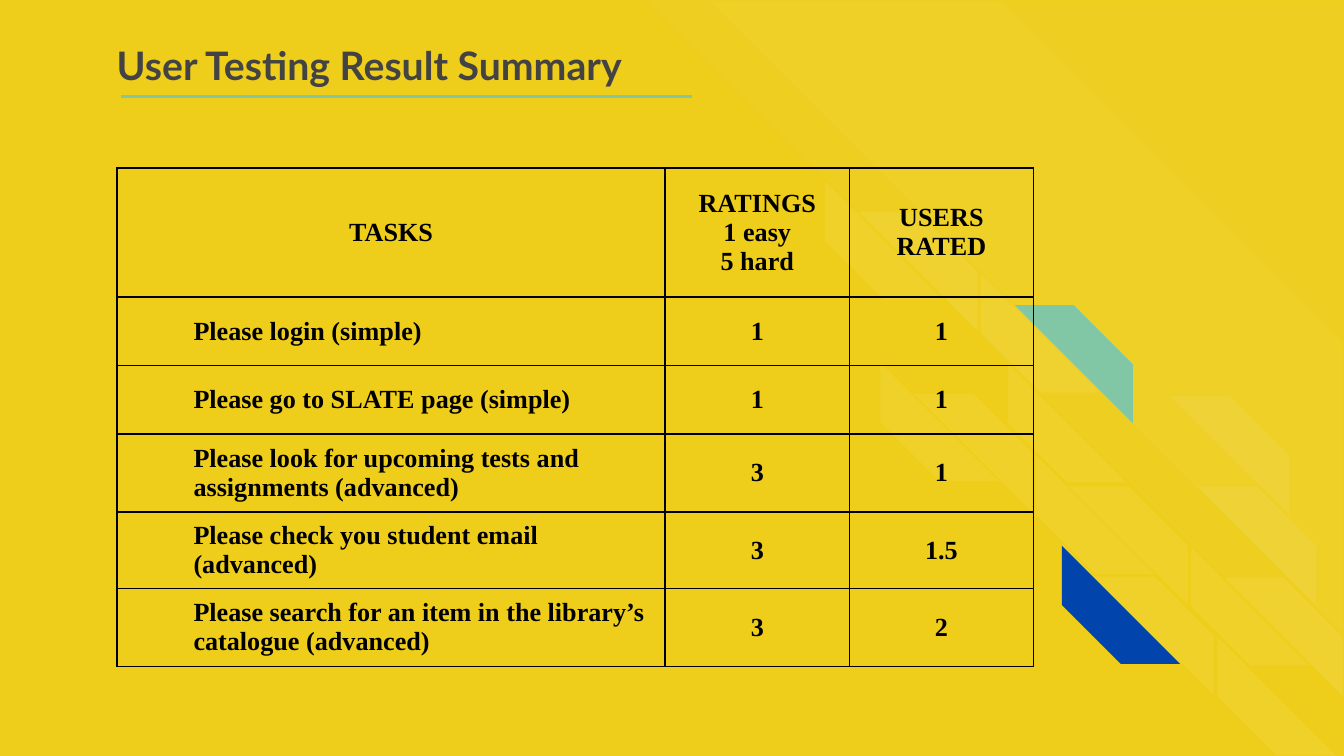
from dataclasses import dataclass

from pptx import Presentation
from pptx.dml.color import RGBColor
from pptx.enum.shapes import MSO_CONNECTOR, MSO_SHAPE
from pptx.enum.text import MSO_ANCHOR as Anchor, PP_ALIGN as Align
from pptx.oxml.ns import qn
from pptx.util import Inches, Pt
from lxml.etree import SubElement


@dataclass(frozen=True)
class Theme:
    background: str = "EECE1A"
    pale: str = "FFFFFF"
    teal: str = "82C7A5"
    blue: str = "0145AC"
    heading: str = "434343"
    ink: str = "000000"
    heading_font: str = "Lato"
    table_font: str = "Times New Roman"
    heading_size: int = 21
    table_size: int = 14


class SlideBuilder:
    def __init__(self, slide, theme):
        self.slide = slide
        self.theme = theme
        slide.background.fill.solid()
        slide.background.fill.fore_color.rgb = RGBColor.from_string(theme.background)

    def stripe(self, left, top, size, color, cut=0.5, rotation=0, flip=False, alpha=None):
        stripe = self.slide.shapes.add_shape(
            MSO_SHAPE.DIAGONAL_STRIPE, Inches(left), Inches(top), Inches(size), Inches(size))
        stripe.adjustments[0] = cut
        stripe.rotation = rotation
        stripe.shadow.inherit = False
        stripe.line.fill.background()
        stripe.fill.solid()
        stripe.fill.fore_color.rgb = RGBColor.from_string(color)
        if flip:
            stripe._element.spPr.find(qn("a:xfrm")).set("flipH", "1")
        if alpha is not None:
            tint = stripe._element.spPr.find(qn("a:solidFill"))[0]
            SubElement(tint, qn("a:alpha")).set("val", str(alpha * 1000))

    def run(self, paragraph, text, font, size, color):
        run = paragraph.add_run()
        run.text = text
        run.font.name = font
        run.font.size = Pt(size)
        run.font.bold = True
        run.font.color.rgb = RGBColor.from_string(color)

    def heading(self, text, left, top, width, height):
        frame = self.slide.shapes.add_textbox(
            Inches(left), Inches(top), Inches(width), Inches(height)).text_frame
        frame.word_wrap = True
        frame.vertical_anchor = Anchor.BOTTOM
        frame.margin_left = frame.margin_right = Inches(0.1)
        frame.margin_top = frame.margin_bottom = Inches(0.1)
        self.run(frame.paragraphs[0], text, self.theme.heading_font,
                 self.theme.heading_size, self.theme.heading)

    def rule(self, left, right, y):
        rule = self.slide.shapes.add_connector(
            MSO_CONNECTOR.STRAIGHT, Inches(left), Inches(y), Inches(right), Inches(y))
        rule.line.color.rgb = RGBColor.from_string(self.theme.teal)
        rule.line.width = Pt(1.5)
        SubElement(rule._element.spPr, qn("a:effectLst"))

    def borders(self, cell):
        properties = cell._tc.get_or_add_tcPr()
        for side in ("lnL", "lnR", "lnT", "lnB"):
            edge = SubElement(properties, qn(f"a:{side}"), w=str(Pt(1)))
            fill = SubElement(edge, qn("a:solidFill"))
            SubElement(fill, qn("a:srgbClr"), val=self.theme.ink)

    def cell(self, cell, text, indented):
        cell.vertical_anchor = Anchor.MIDDLE
        cell.margin_left = cell.margin_right = Inches(0.07)
        cell.margin_top = cell.margin_bottom = Inches(0.07)
        self.borders(cell)
        cell.fill.background()
        for index, line in enumerate(text.split("\n")):
            frame = cell.text_frame
            paragraph = frame.add_paragraph() if index else frame.paragraphs[0]
            if indented:
                paragraph._p.get_or_add_pPr().set("marL", str(Inches(0.5)))
            else:
                paragraph.alignment = Align.CENTER
            self.run(paragraph, line, self.theme.table_font,
                     self.theme.table_size, self.theme.ink)

    def table(self, rows, left, top, widths, heights):
        table = self.slide.shapes.add_table(
            len(rows), len(widths), Inches(left), Inches(top),
            Inches(sum(widths)), Inches(sum(heights))).table
        table.first_row = table.horz_banding = False
        for column, width in zip(table.columns, widths):
            column.width = Inches(width)
        for row, height in zip(table.rows, heights):
            row.height = Inches(height)
        for r, row in enumerate(rows):
            for c, text in enumerate(row):
                self.cell(table.cell(r, c), text, indented=r > 0 and c == 0)


THEME = Theme()

# Stripe pairs: left, top, colour of the upright half, colour of the flat half
STRIPE_SIZE = 0.88
FLAT_SHIFT = (0.25, 0.23)
STRIPE_PAIRS = [
    (6.14, 1.35, THEME.pale, THEME.pale),
    (6.55, 2.70, THEME.pale, THEME.pale),
    (7.30, 2.04, THEME.pale, THEME.teal),
    (7.50, 2.71, THEME.pale, None),
    (8.46, 2.72, None, THEME.pale),
    (8.66, 3.39, None, THEME.pale),
    (7.71, 3.39, THEME.pale, THEME.pale),
    (7.90, 4.06, THEME.blue, THEME.pale),
    (8.86, 4.07, THEME.pale, THEME.pale),
    (9.06, 4.74, THEME.pale, None),
]

RESULTS = [
    ("TASKS", "RATINGS\n1 easy\n5 hard", "USERS RATED"),
    ("Please login (simple)", "1", "1"),
    ("Please go to SLATE page (simple)", "1", "1"),
    ("Please look for upcoming tests and assignments (advanced)", "3", "1"),
    ("Please check you student email (advanced)", "3", "1.5"),
    ("Please search for an item in the library’s catalogue (advanced)", "3", "2"),
]


def main():
    # Widescreen page, 16:9
    presentation = Presentation()
    presentation.slide_width = Inches(10)
    presentation.slide_height = Inches(10) * 9 // 16
    slide = presentation.slides.add_slide(presentation.slide_layouts[6])
    builder = SlideBuilder(slide, THEME)

    # Broad background bands
    builder.stripe(4.82, 0, 5.18, THEME.pale, cut=0.495, rotation=90, alpha=3)
    builder.stripe(5.29, 0.01, 4.7, THEME.pale, cut=0, rotation=90, alpha=3)

    # Small stripes
    for left, top, upright, flat in STRIPE_PAIRS:
        halves = ((upright, 0, 0, 270, False), (flat, *FLAT_SHIFT, 0, True))
        for color, dx, dy, rotation, flip in halves:
            if color:
                builder.stripe(left + dx, top + dy, STRIPE_SIZE, color, rotation=rotation,
                               flip=flip, alpha=7 if color == THEME.pale else None)

    # Results table
    builder.table(RESULTS, 0.87, 1.25, widths=[4.08, 1.37, 1.37],
                  heights=[0.96, 0.51, 0.51, 0.58, 0.57, 0.58])

    # Heading
    builder.rule(0.9, 5.15, 0.72)
    builder.heading("User Testing Result Summary", 0.77, 0.18, 4.26, 0.58)

    presentation.save("out.pptx")


if __name__ == "__main__":
    main()
